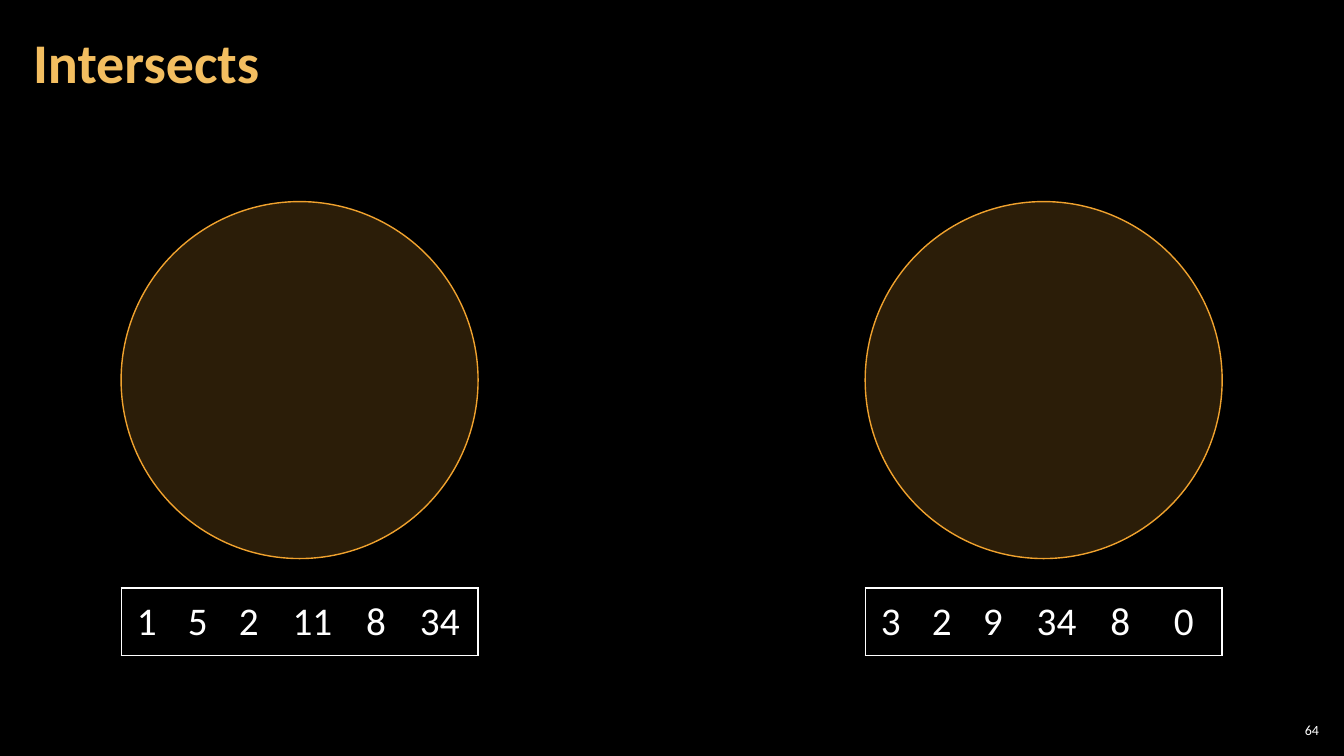
from lxml import etree
from pptx import Presentation
from pptx.dml.color import RGBColor
from pptx.enum import shapes, text
from pptx.oxml import ns
from pptx.util import Pt

BLACK = RGBColor(0x00, 0x00, 0x00)
WHITE = RGBColor(0xFF, 0xFF, 0xFF)
GOLD = RGBColor(0xF3, 0xBE, 0x60)
AMBER = RGBColor(0xF0, 0xA2, 0x2E)
LEFT, MID, RIGHT = text.PP_ALIGN.LEFT, text.PP_ALIGN.CENTER, text.PP_ALIGN.RIGHT


def write(frame, words, size=28, color=WHITE, bold=False, align=MID, space=1.0):
    para = frame.paragraphs[0]
    para.alignment = align
    para.line_spacing = space
    para.space_before = Pt(0)
    run = para.add_run()
    run.text = words
    font = run.font
    font.name, font.size, font.bold = "Calibri", Pt(size), bold
    font.color.rgb = color


def edge(cell, side, shown):
    props = cell._tc.get_or_add_tcPr()
    line = etree.SubElement(props, ns.qn("a:ln" + side), w=str(Pt(1)))
    if shown:
        fill = etree.SubElement(line, ns.qn("a:solidFill"))
        etree.SubElement(fill, ns.qn("a:srgbClr"), val=str(WHITE))
    else:
        etree.SubElement(line, ns.qn("a:noFill"))


deck = Presentation()
deck.slide_width, deck.slide_height = Pt(960), Pt(540)
slide = deck.slides.add_slide(deck.slide_layouts[5])
slide.background.fill.solid()
slide.background.fill.fore_color.rgb = BLACK

title = slide.shapes.title
title.left, title.top, title.width, title.height = Pt(15), Pt(3), Pt(754), Pt(87)
number = slide.shapes.add_textbox(Pt(911), Pt(514), Pt(34), Pt(15))
for box, inset in ((title, 8.64), (number, 2.88)):
    frame = box.text_frame
    frame.word_wrap = True
    frame.auto_size = text.MSO_AUTO_SIZE.NONE
    frame.vertical_anchor = text.MSO_ANCHOR.MIDDLE
    frame.margin_left = frame.margin_right = Pt(inset)
    frame.margin_top = frame.margin_bottom = Pt(2.88)
write(title.text_frame, "Intersects", size=40, color=GOLD, bold=True, align=LEFT, space=0.9)
write(number.text_frame, "64", size=10, align=RIGHT)

SIDE = 255
WIDTHS = [36.5, 36.5, 36.5, 54.5, 36.5, 54.5]
SETS = [(86.5, [1, 5, 2, 11, 8, 34]), (618, [3, 2, 9, 34, 8, 0])]

for left, values in SETS:
    disc = slide.shapes.add_shape(
        shapes.MSO_SHAPE.OVAL, Pt(left), Pt(144), Pt(SIDE), Pt(SIDE))
    disc.shadow.inherit = False
    disc.fill.solid()
    disc.fill.fore_color.rgb = AMBER
    tint = disc.fill._xPr.find(ns.qn("a:solidFill"))[0]
    etree.SubElement(tint, ns.qn("a:alpha"), val="18000")
    disc.line.color.rgb = AMBER
    disc.line.width = Pt(1)

    table = slide.shapes.add_table(
        1, len(values), Pt(left), Pt(420), Pt(SIDE), Pt(48)).table
    table.first_row = table.horz_banding = False
    table.rows[0].height = Pt(48)
    last = len(values) - 1
    for col, (value, width) in enumerate(zip(values, WIDTHS)):
        table.columns[col].width = Pt(width)
        cell = table.cell(0, col)
        cell.vertical_anchor = text.MSO_ANCHOR.MIDDLE
        cell.margin_left = cell.margin_right = Pt(9.36)
        cell.margin_top = cell.margin_bottom = Pt(3.6)
        for side, shown in (("L", col == 0), ("R", col == last), ("T", True), ("B", True)):
            edge(cell, side, shown)
        cell.fill.background()
        write(cell.text_frame, str(value), space=0.95)

deck.save("out.pptx")
